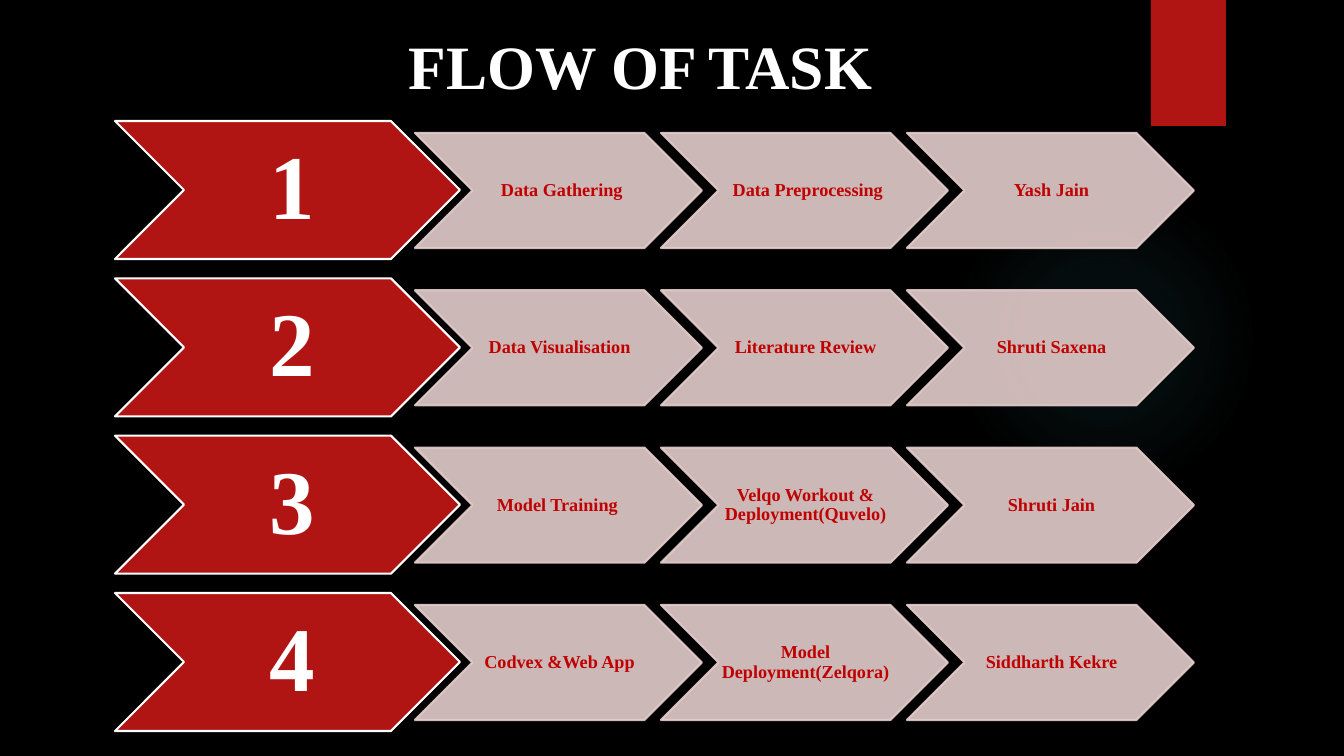
from lxml import etree
from pptx import Presentation
from pptx import util as u
from pptx.dml.color import RGBColor
from pptx.enum import shapes, text
from pptx.oxml import ns, parse_xml

FONT = "Times New Roman"
BLACK, WHITE, RED, PINK, CRIMSON, TEAL = "000000", "FFFFFF", "B01513", "E4CCCC", "C00000", "50B9C1"
TASKS = [
    ("1", " Data Gathering", " Data Preprocessing", "Yash Jain"),
    ("2", "Data Visualisation", "Literature Review", "Shruti Saxena"),
    ("3", "Model Training ", "Velqo Workout & Deployment(Quvelo)", "Shruti Jain"),
    ("4", "Codvex &Web App", "Model Deployment(Zelqora)", "Siddharth Kekre"),
]


def px(length):
    """Turn px into EMU."""
    return u.Emu(round(length * 914400 / 100.8))


def rgb(color):
    """Turn a hex string into a colour."""
    return RGBColor.from_string(color)


def write(frame, words, size=13, color=CRIMSON, align=text.PP_ALIGN.CENTER,
          anchor=text.MSO_ANCHOR.MIDDLE, spacing=0.9, insets=(2, 1, 0, 1)):
    """Set one formatted bold paragraph in a text frame."""
    frame.word_wrap = True
    frame.vertical_anchor = anchor
    frame.margin_left, frame.margin_top, frame.margin_right, frame.margin_bottom = map(px, insets)
    paragraph = frame.paragraphs[0]
    paragraph.alignment, paragraph.line_spacing = align, spacing
    run = paragraph.add_run()
    run.text = words
    run.font.name, run.font.size, run.font.bold = FONT, u.Pt(size), True
    run.font.color.rgb = rgb(color)


def add_block(slide, kind, box, fill, line=None, alpha=100):
    """Add a flat preset shape in the given box."""
    block = slide.shapes.add_shape(kind, *map(px, box))
    block.shadow.inherit = False
    block.fill.solid()
    block.fill.fore_color.rgb = rgb(fill)
    if line:
        block.line.color.rgb = rgb(line)
        block.line.width = u.Pt(1.5)
    else:
        block.line.fill.background()
    if alpha < 100:
        for tint in block._element.spPr.iter(ns.qn("a:srgbClr")):
            etree.SubElement(tint, ns.qn("a:alpha"), val=str(alpha * 1000))
    return block


def add_glow(slide, box):
    """Add the faint radial glow."""
    glow = add_block(slide, shapes.MSO_SHAPE.OVAL, box, TEAL)
    stops = "".join(
        f'<a:gs pos="{place * 1000}"><a:srgbClr val="{TEAL}"><a:alpha val="{alpha * 1000}"/></a:srgbClr></a:gs>'
        for place, alpha in ((0, 7), (36, 6), (69, 0), (100, 0)))
    gradient = parse_xml(
        f'<a:gradFill {ns.nsdecls("a")} rotWithShape="1"><a:gsLst>{stops}</a:gsLst><a:path path="circle">'
        '<a:fillToRect l="50000" t="50000" r="50000" b="50000"/></a:path></a:gradFill>')
    properties = glow._element.spPr
    properties.replace(properties.find(ns.qn("a:solidFill")), gradient)


def add_title(slide, box):
    """Add the slide title."""
    title = slide.shapes.add_textbox(*map(px, box))
    write(title.text_frame, "FLOW OF TASK", size=44, color=WHITE, align=text.PP_ALIGN.LEFT,
          anchor=text.MSO_ANCHOR.TOP, spacing=1, insets=(10, 5, 10, 5))
    title.text_frame.auto_size = text.MSO_AUTO_SIZE.SHAPE_TO_FIT_TEXT


def add_task_row(slide, box, task):
    """Add a numbered chevron followed by its three step chevrons."""
    left, top, width, height = box
    number, *steps = task
    chevron = shapes.MSO_SHAPE.CHEVRON
    lead = add_block(slide, chevron, (left, top, width, height), RED, WHITE)
    write(lead.text_frame, number, size=65, color=WHITE, insets=(9, 5, 0, 5))
    for column, step in enumerate(steps):
        place = (left + 300 + 246 * column, top + 12, 287, 115)
        link = add_block(slide, chevron, place, PINK, PINK, alpha=90)
        write(link.text_frame, step)


def add_flow(slide, box):
    """Spread the task rows evenly down the box."""
    left, top, width, height = box
    row_height = 138
    pitch = (height - row_height) / (len(TASKS) - 1)
    for row, task in enumerate(TASKS):
        add_task_row(slide, (left, top + pitch * row, width, row_height), task)


def main():
    """Build and save the slide."""
    deck = Presentation()
    deck.slide_width, deck.slide_height = px(1344), px(756)
    slide = deck.slides.add_slide(deck.slide_layouts[6])
    slide.background.fill.solid()
    slide.background.fill.fore_color.rgb = rgb(BLACK)
    add_glow(slide, (949, 184, 310, 310))
    add_block(slide, shapes.MSO_SHAPE.RECTANGLE, (1151, 0, 75, 126), RED)
    add_title(slide, (399, 23, 618, 85))
    add_flow(slide, (115, 121, 345, 610))
    deck.save("out.pptx")


if __name__ == "__main__":
    main()
